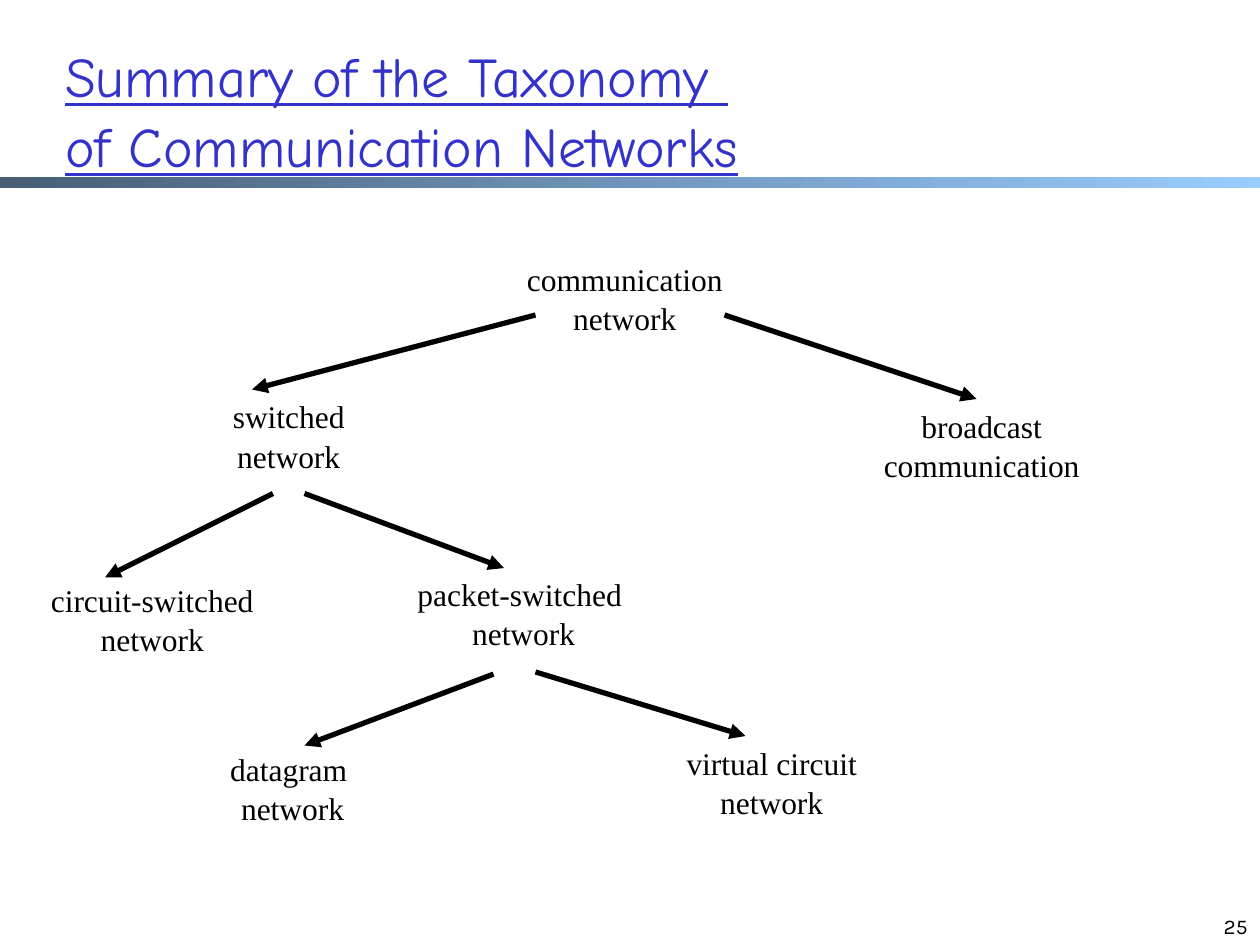
from typing import NamedTuple

from lxml import etree
from pptx import Presentation
from pptx.dml.color import RGBColor
from pptx.enum import shapes, text
from pptx.oxml.ns import qn
from pptx.util import Inches, Pt

BLACK = RGBColor(0x00, 0x00, 0x00)
TITLE_BLUE = RGBColor(0x33, 0x33, 0xCC)
BAR_DARK = RGBColor(0x47, 0x5E, 0x76)
BAR_LIGHT = RGBColor(0x99, 0xCC, 0xFF)

WIDTH, HEIGHT = Inches(10), Inches(7.5)
COLUMNS, ROWS = 120, 90
NODE_COLUMNS, NODE_ROWS = 27, 8.5
LINE_SPACING = 1.04


class Node(NamedTuple):
    label: str
    column: float
    row: float


class Branch(NamedTuple):
    start: tuple[float, float]
    end: tuple[float, float]


NODES = [
    Node("communication\vnetwork", 46, 24),
    Node("switched\vnetwork", 14, 37.1),
    Node("broadcast\vcommunication", 80, 38),
    Node("circuit-switched\vnetwork", 1, 54.6),
    Node("packet-switched\v network", 36, 54),
    Node("datagram\v network", 14, 70.7),
    Node("virtual circuit\vnetwork", 60, 70.1),
]

BRANCHES = [
    Branch((51, 30), (24, 37.1)),
    Branch((69, 30), (93, 38)),
    Branch((26, 47), (10, 55)),
    Branch((29, 47), (48, 54.1)),
    Branch((47, 64.2), (29, 71)),
    Branch((51, 64), (71, 70.1)),
]


def across(columns: float) -> int:
    return round(WIDTH * columns / COLUMNS)


def down(rows: float) -> int:
    return round(HEIGHT * rows / ROWS)


def write(frame, words: str, font: str, size: float, color: RGBColor,
          align, underline: bool = False) -> None:
    frame.text = words
    frame.word_wrap = True
    for para in frame.paragraphs:
        para.alignment = align
        para.line_spacing = LINE_SPACING
        for span in para.runs:
            span.font.name = font
            span.font.size = Pt(size)
            span.font.color.rgb = color
            span.font.underline = underline


def add_node(page, node: Node) -> None:
    box = page.shapes.add_textbox(across(node.column), down(node.row),
                                  across(NODE_COLUMNS), down(NODE_ROWS))
    write(box.text_frame, node.label, "Times New Roman", 18, BLACK,
          text.PP_ALIGN.CENTER)
    box.text_frame.auto_size = text.MSO_AUTO_SIZE.SHAPE_TO_FIT_TEXT


def add_branch(page, branch: Branch) -> None:
    (x1, y1), (x2, y2) = branch
    arrow = page.shapes.add_connector(shapes.MSO_CONNECTOR.STRAIGHT,
                                      across(x1), down(y1), across(x2), down(y2))
    arrow.line.color.rgb = BLACK
    arrow.line.width = Pt(3)
    etree.SubElement(arrow.line._get_or_add_ln(), qn("a:tailEnd"), type="triangle")
    etree.SubElement(arrow._element.spPr, qn("a:effectLst"))


def add_title(page) -> None:
    title = page.shapes.title
    title.left, title.top = across(5), down(3.1)
    title.width, title.height = across(102), down(8)
    frame = title.text_frame
    write(frame, "Summary of the Taxonomy \vof Communication Networks",
          "Comic Neue", 32, TITLE_BLUE, text.PP_ALIGN.LEFT, underline=True)
    frame.vertical_anchor = text.MSO_ANCHOR.TOP
    frame.auto_size = text.MSO_AUTO_SIZE.NONE


def add_bar(page) -> None:
    bar = page.shapes.add_shape(shapes.MSO_SHAPE.RECTANGLE,
                                0, down(16.9), WIDTH, down(1))
    bar.shadow.inherit = False
    bar.line.fill.background()
    bar.fill.gradient()
    bar.fill.gradient_angle = 0
    for stop, color in zip(bar.fill.gradient_stops, (BAR_DARK, BAR_LIGHT)):
        stop.color.rgb = color


def add_page_number(page) -> None:
    box = page.shapes.add_textbox(across(92), down(84), across(28), down(6))
    write(box.text_frame, "25", "Karla", 12, BLACK, text.PP_ALIGN.RIGHT)
    box.text_frame.vertical_anchor = text.MSO_ANCHOR.BOTTOM


def main() -> None:
    deck = Presentation()
    deck.slide_width, deck.slide_height = WIDTH, HEIGHT
    page = deck.slides.add_slide(deck.slide_layouts.get_by_name("Title Only"))

    # Heading and footer
    add_bar(page)
    add_page_number(page)
    add_title(page)

    # Taxonomy tree
    for node in NODES:
        add_node(page, node)
    for branch in BRANCHES:
        add_branch(page, branch)

    deck.save("out.pptx")


if __name__ == "__main__":
    main()
